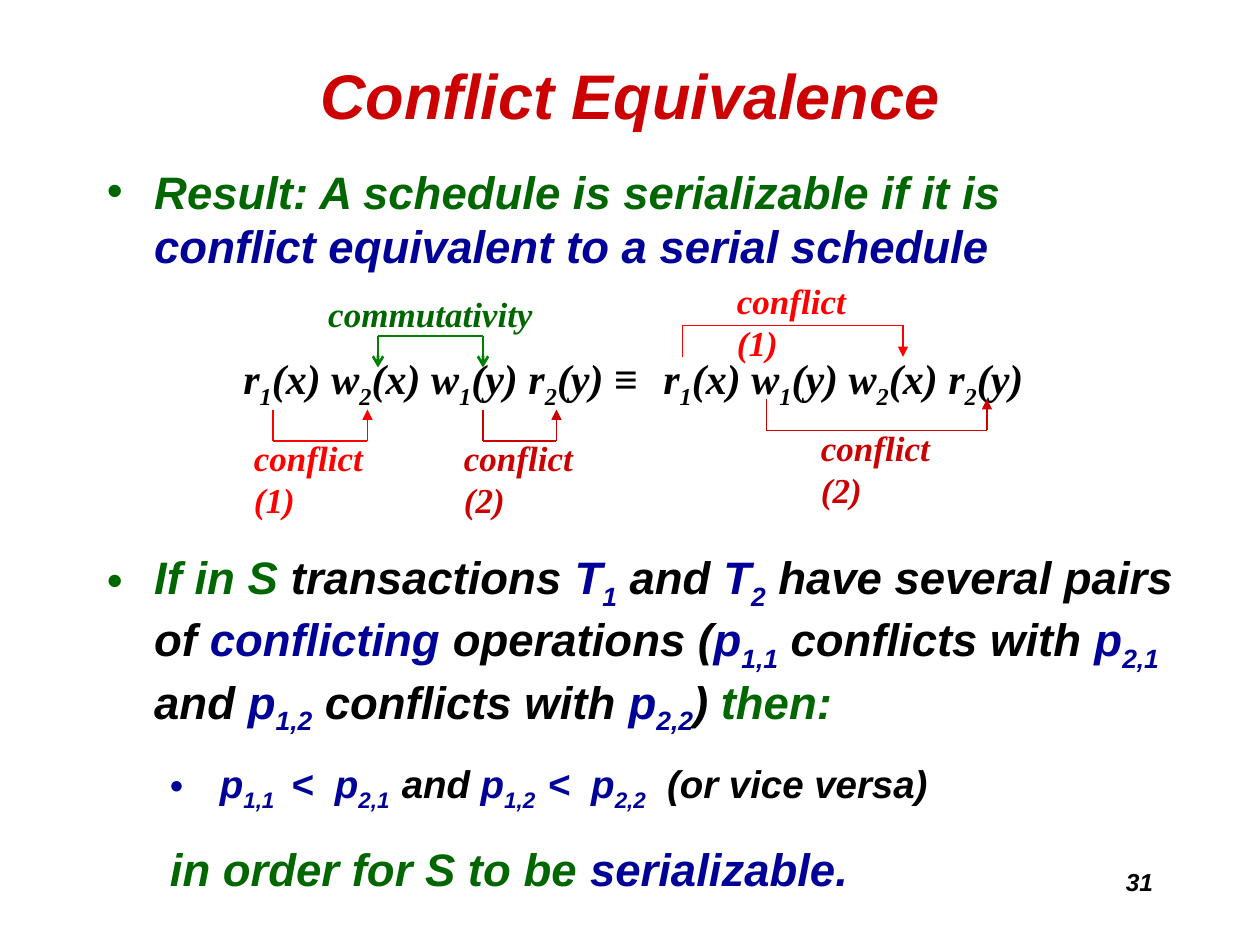
"""Build the Conflict Equivalence slide."""
from lxml.etree import SubElement
from pptx import Presentation
from pptx.dml.color import RGBColor
from pptx.enum.shapes import MSO_CONNECTOR
from pptx.enum.text import MSO_ANCHOR, MSO_AUTO_SIZE, PP_ALIGN
from pptx.oxml.ns import qn
from pptx.util import Pt

BLACK = RGBColor(0, 0, 0)
GREEN = RGBColor(0, 0x66, 0)
LEAF = RGBColor(0, 0x80, 0)
BLUE = RGBColor(0, 0, 0x99)
RED = RGBColor(0xFF, 0, 0)
DARK = RGBColor(0xCC, 0, 0)
SANS, SERIF = "Arial", "Times New Roman"

TITLE = "Conflict Equivalence"
BODY = [
    {"size": 26, "left": 27, "hang": 27, "gap": 0, "dot": True, "runs": [
        ("Result: A schedule is serializable if it is ", GREEN),
        ("conflict equivalent to a serial schedule", BLUE)]},
    {"size": 26, "left": 27, "hang": 27, "gap": 158, "dot": True, "runs": [
        ("If in S ", GREEN), ("transactions ", BLACK), ("T|1|", BLUE),
        (" and ", BLACK), ("T|2|", BLUE), (" have several pairs of ", BLACK),
        ("conflicting", BLUE), (" operations (", BLACK), ("p|1,1|", BLUE),
        (" conflicts with ", BLACK), ("p|2,1|", BLUE), (" and ", BLACK),
        ("p|1,2|", BLUE), (" conflicts with ", BLACK), ("p|2,2|", BLUE),
        (")", BLACK), (" then:", GREEN)]},
    {"size": 22, "left": 58.5, "hang": 22.5, "gap": 14, "dot": True, "runs": [
        (" p|1,1 | <  p|2,1  |", BLUE), ("and", BLACK),
        (" p|1,2  |<  p|2,2|", BLUE), ("  (or vice versa)", BLACK)]},
    {"size": 26, "left": 58.5, "hang": 22.5, "gap": 16, "dot": False, "runs": [
        ("in order for S to be", GREEN), (" serializable.", BLUE)]},
]
TERMS = [
    (132, 198, 243, "r|1|(x) w|2|(x) w|1|(y) r|2|(y) ≡"),
    (372, 198, 225, "r|1|(x) w|1|(y) w|2|(x) r|2|(y)"),
]
LABELS = [
    (138, 246, "(1)", RED), (258, 246, "(2)", DARK),
    (414, 156, "(1)", RED), (462, 240, "(2)", DARK),
]
BRACES = [
    (156, 210, 252, 234, RED, 0.75, (None, "triangle")),
    (276, 318, 252, 234, DARK, 0.75, (None, "triangle")),
    (390, 516, 186, 204, RED, 0.75, (None, "triangle")),
    (438, 564, 246, 228, DARK, 0.75, (None, "triangle")),
    (216, 276, 192, 210, LEAF, 1.5, ("arrow", "arrow")),
]


def write(para, text, size, face, color):
    """Add runs, with the parts between bars as subscripts."""
    for i, part in enumerate(text.split("|")):
        if not part:
            continue
        run = para.add_run()
        run.text = part
        font = run.font
        font.size, font.name = Pt(size), face
        font.bold = font.italic = True
        font.color.rgb = color
        if i % 2:
            run._r.get_or_add_rPr().set("baseline", "-25000")


def box(slide, left, top, width, height, wrap=True):
    """Add a text box and return its frame."""
    shape = slide.shapes.add_textbox(Pt(left), Pt(top), Pt(width), Pt(height))
    frame = shape.text_frame
    frame.word_wrap = wrap
    return frame


def indent(para, left, hang, dot):
    """Set the hanging indent and the bullet."""
    props = para._p.get_or_add_pPr()
    props.set("marL", str(Pt(left)))
    props.set("indent", str(-Pt(hang)))
    if dot:
        SubElement(props, qn("a:buFont")).set("typeface", SANS)
        SubElement(props, qn("a:buChar")).set("char", "•")
    else:
        SubElement(props, qn("a:buNone"))


def stroke(slide, start, end, color, width, head=None):
    """Draw a straight line, with a head at its end if named."""
    line = slide.shapes.add_connector(
        MSO_CONNECTOR.STRAIGHT, *(Pt(v) for v in start + end))
    line.line.color.rgb = color
    line.line.width = Pt(width)
    if head:
        SubElement(line.line._get_or_add_ln(), qn("a:tailEnd")).set("type", head)
    SubElement(line._element.spPr, qn("a:effectLst"))


def brace(slide, left, right, bar, tip, color, width, heads):
    """Draw a bar with a stem at each end."""
    for x, head in zip((left, right), heads):
        stroke(slide, (x, bar), (x, tip), color, width, head)
    stroke(slide, (left, bar), (right, bar), color, width)


def main():
    """Lay out the slide and save it."""
    deck = Presentation()
    deck.slide_width, deck.slide_height = Pt(720), Pt(540)
    slide = deck.slides.add_slide(deck.slide_layouts[5])

    title = slide.shapes.title
    title.left, title.top, title.width, title.height = (
        Pt(v) for v in (54, 24, 612, 60))
    frame = title.text_frame
    frame.auto_size = MSO_AUTO_SIZE.NONE
    frame.vertical_anchor = MSO_ANCHOR.MIDDLE
    para = frame.paragraphs[0]
    para.alignment = PP_ALIGN.CENTER
    write(para, TITLE, 36, SANS, DARK)

    frame = box(slide, 54, 90, 624, 420)
    for i, item in enumerate(BODY):
        para = frame.add_paragraph() if i else frame.paragraphs[0]
        indent(para, item["left"], item["hang"], item["dot"])
        if i:
            para.space_before = Pt(item["gap"])
        for text, color in item["runs"]:
            write(para, text, item["size"], SANS, color)

    for left, top, width, text in TERMS:
        para = box(slide, left, top, width, 36, False).paragraphs[0]
        write(para, text, 24, SERIF, BLACK)

    for left, top, mark, color in LABELS:
        para = box(slide, left, top, 76.5, 31, False).paragraphs[0]
        write(para, "conflict", 20, SERIF, color)
        para.add_line_break()
        write(para, mark, 20, SERIF, color)

    frame = box(slide, 180, 167, 132, 25)
    frame.margin_left = frame.margin_right = Pt(0)
    frame.margin_top = frame.margin_bottom = Pt(0)
    frame.paragraphs[0].alignment = PP_ALIGN.CENTER
    write(frame.paragraphs[0], "commutativity", 20, SERIF, GREEN)

    for item in BRACES:
        brace(slide, *item)

    para = box(slide, 516, 492, 150, 36).paragraphs[0]
    para.alignment = PP_ALIGN.RIGHT
    write(para, "31", 14, SANS, BLACK)
    deck.save("out.pptx")


if __name__ == "__main__":
    main()
